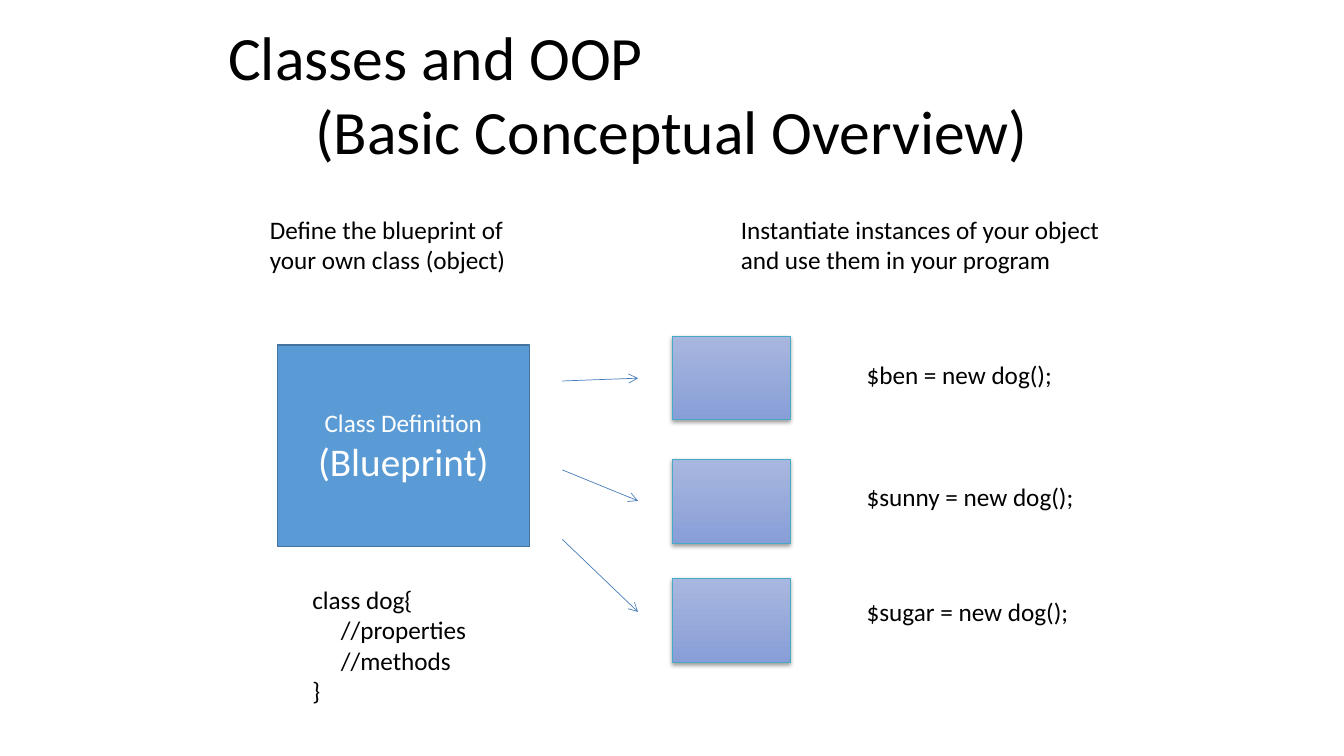
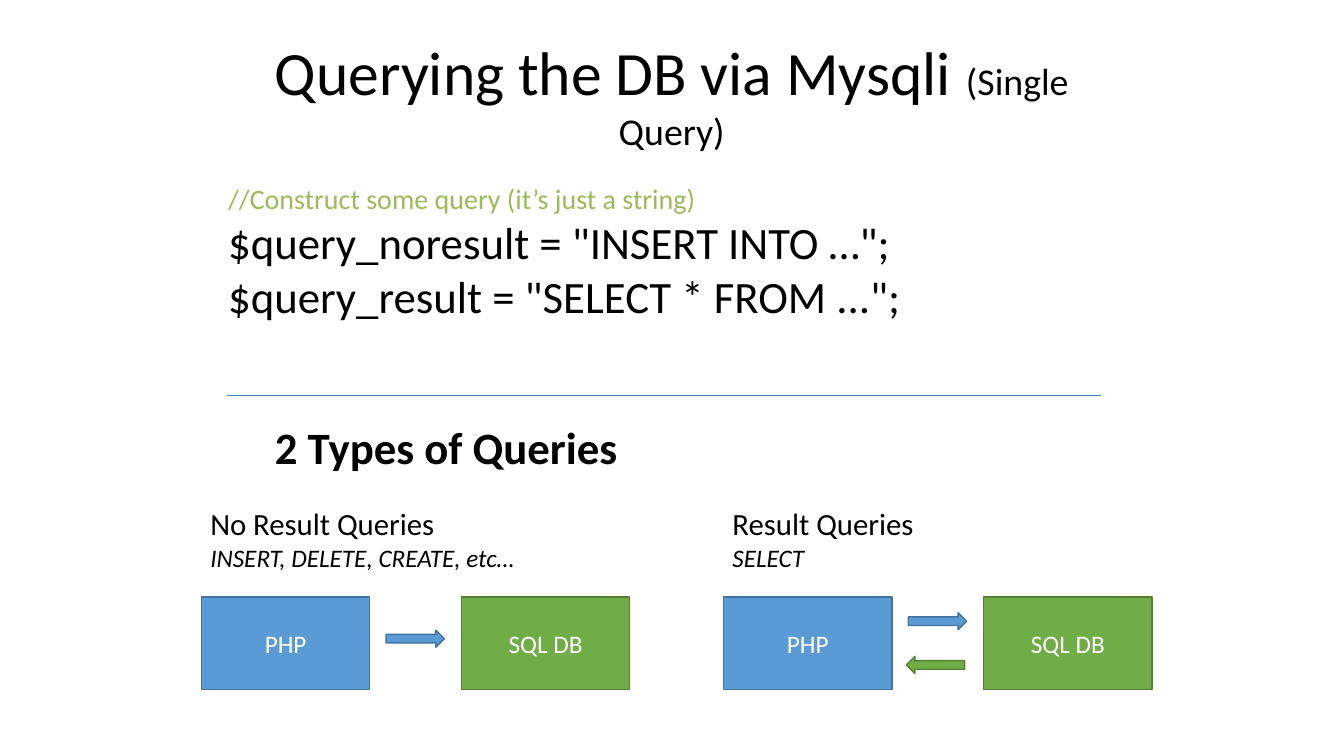
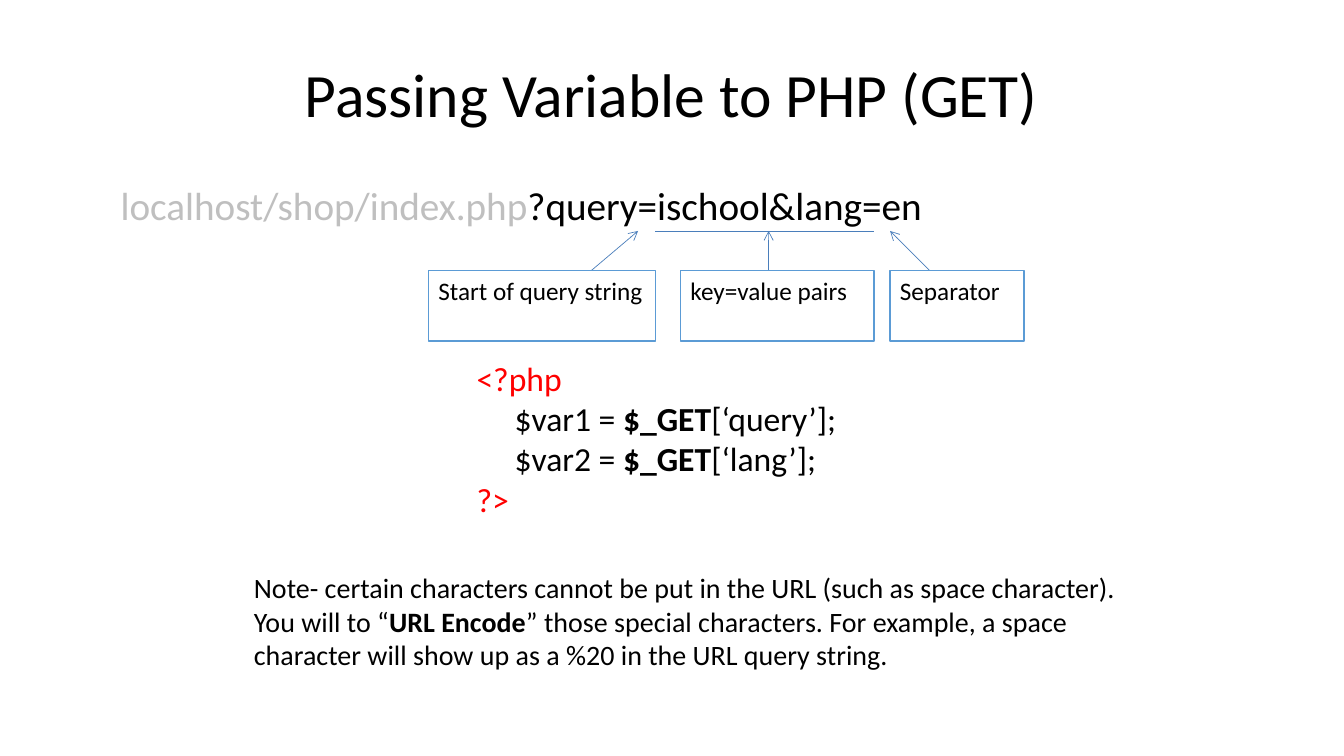
from dataclasses import dataclass

from lxml import etree
from pptx import Presentation
from pptx.dml.color import RGBColor
from pptx.enum import shapes, text
from pptx.oxml import ns
from pptx.util import Cm, Pt

INK = {
    "black": "000000", "white": "FFFFFF", "red": "FF0000", "gray": "BFBFBF",
    "note": "9BBB59", "blue": "5B9BD5", "navy": "43739E", "green": "70AD47",
    "moss": "538035", "link": "4A7EBB", "teal": "46AAC4",
    "pale": "A8B7DF", "deep": "889ED7",
}
FACE = "Calibri"
KIND = shapes.MSO_SHAPE
LEFT, MID = text.PP_ALIGN.LEFT, text.PP_ALIGN.CENTER


@dataclass
class Line:
    """One paragraph; a run is a string, or a string with its own font settings."""
    runs: tuple
    size: int = 18
    ink: str = "black"
    bold: bool = False
    ital: bool = False
    align: int = LEFT
    indent: float = 0


def color(name):
    return RGBColor.from_string(INK[name])


def style(font, size=None, ink=None, bold=None, ital=None):
    if size:
        font.size = Pt(size)
    if ink:
        font.color.rgb = color(ink)
    if bold is not None:
        font.bold = bold
    if ital is not None:
        font.italic = ital


def write(frame, lines, anchor=text.MSO_ANCHOR.TOP):
    frame.word_wrap = True
    frame.vertical_anchor = anchor
    for i, line in enumerate(lines):
        par = frame.add_paragraph() if i else frame.paragraphs[0]
        par.alignment = line.align
        par.font.name = FACE
        style(par.font, line.size, line.ink, line.bold, line.ital)
        if line.indent:
            par._p.get_or_add_pPr().set("marL", str(Cm(line.indent)))
        for item in line.runs:
            words, own = (item, {}) if isinstance(item, str) else item
            run = par.add_run()
            run.text = words
            style(run.font, **own)


def label(slide, at, *lines, anchor=text.MSO_ANCHOR.TOP):
    box = slide.shapes.add_textbox(*map(Cm, at))
    write(box.text_frame, lines, anchor)


def title(slide, *lines):
    label(slide, (5.5, 0.76, 22.86, 3.18), *lines, anchor=text.MSO_ANCHOR.MIDDLE)


def shape(slide, at, fill, edge, kind=KIND.RECTANGLE, width=1):
    item = slide.shapes.add_shape(kind, *map(Cm, at))
    item.shadow.inherit = False
    item.fill.solid()
    item.fill.fore_color.rgb = color(fill)
    item.line.color.rgb = color(edge)
    item.line.width = Pt(width)
    return item


def block(slide, at, fill, edge, *lines):
    item = shape(slide, at, fill, edge)
    write(item.text_frame, lines, text.MSO_ANCHOR.MIDDLE)


def tag(slide, at, words):
    item = shape(slide, at, "white", "blue")
    write(item.text_frame, [Line((words,))])


def tile(slide, at):
    """Shaded square with a soft drop shadow."""
    item = shape(slide, at, "pale", "teal", width=0.5)
    item.fill.gradient()
    item.fill.gradient_angle = 270
    for stop, name in zip(item.fill.gradient_stops, ("pale", "deep")):
        stop.color.rgb = color(name)
    effects = item._element.spPr.find(ns.qn("a:effectLst"))
    cast = etree.SubElement(effects, ns.qn("a:outerShdw"), blurRad="40000",
                            dist="20000", dir="5400000", rotWithShape="0")
    tint = etree.SubElement(cast, ns.qn("a:srgbClr"), val=INK["black"])
    etree.SubElement(tint, ns.qn("a:alpha"), val="38000")


def rule(slide, start, end, arrow=False):
    item = slide.shapes.add_connector(shapes.MSO_CONNECTOR.STRAIGHT,
                                      *map(Cm, start + end))
    item.line.color.rgb = color("link")
    item.line.width = Pt(0.5)
    if arrow:
        stroke = item.line._get_or_add_ln()
        etree.SubElement(stroke, ns.qn("a:tailEnd"), type="arrow")
    etree.SubElement(item._element.spPr, ns.qn("a:effectLst"))


def classes(slide):
    title(slide, Line(("Classes and OOP",), 44),
          Line(("(Basic Conceptual Overview)",), 44, align=MID))
    block(slide, (6.99, 8.69, 6.35, 5.08), "blue", "navy",
          Line(("Class Definition",), 18, "white", align=MID),
          Line(("(Blueprint)",), 28, "white", align=MID))
    label(slide, (7.62, 14.6, 5.08, 4.06),
          Line(("class dog{",)), Line(("//properties",), indent=0.72),
          Line(("//methods",), indent=0.72), Line(("}",)))
    label(slide, (6.55, 5.28, 7.62, 2.54),
          Line(("Define the blueprint of your own class (object)",)))
    label(slide, (18.42, 5.28, 10.16, 2.54),
          Line(("Instantiate instances of your object and use them in your program",)))
    dogs = (("ben", 8.47, 8.94, 9.6, 9.53),
            ("sunny", 11.58, 12.01, 11.84, 12.62),
            ("sugar", 14.58, 14.91, 13.59, 15.42))
    for name, top, row, start, end in dogs:
        tile(slide, (16.94, top, 2.97, 2.11))
        label(slide, (21.59, row, 6.99, 1.02), Line((f"${name} = new dog();",)))
        rule(slide, (14.17, start), (16.08, end), arrow=True)


def panel(slide, left, head, verbs):
    """Heading above the two ends of one kind of query."""
    label(slide, (left - 0.03, 12.6, 10.8, 1.96),
          Line((head,), 22), Line((verbs,), ital=True))
    ends = (("PHP", "blue", "navy"), ("SQL DB", "green", "moss"))
    for i, (name, fill, edge) in enumerate(ends):
        block(slide, (left + i * 6.55, 15.04, 4.24, 2.34), fill, edge,
              Line((name,), ink="white", align=MID))


def flow(slide, left, top, fill, edge, turn=0):
    item = shape(slide, (left, top, 1.47, 0.43), fill, edge, KIND.RIGHT_ARROW)
    item.rotation = turn


def queries(slide):
    title(slide, Line(("Querying the DB via Mysqli ",
                       ("(Single Query)", {"size": 27})), 44, align=MID))
    label(slide, (5.5, 4.45, 22.86, 5),
          Line(("//Construct some query (it’s just a string)",), 20, "note"),
          Line(('$query_noresult = "INSERT INTO …";',), 32),
          Line(('$query_result = "SELECT * FROM ...";',), 32))
    rule(slide, (5.72, 9.96), (27.74, 9.96))
    label(slide, (6.68, 10.44, 15, 1.78),
          Line(("2 Types of Queries",), 32, bold=True))
    one, two = 5.08, 18.24
    panel(slide, one, "No Result Queries", "INSERT, DELETE, CREATE, etc…")
    panel(slide, two, "Result Queries", "SELECT")
    flow(slide, one + 4.65, 15.88, "blue", "navy")
    flow(slide, two + 4.65, 15.44, "blue", "navy")
    flow(slide, two + 4.6, 16.54, "green", "moss", 180)


def passing(slide):
    title(slide, Line(("Passing Variable to PHP (GET)",), 44, align=MID))
    label(slide, (2.79, 4.45, 28.17, 1.6),
          Line((("localhost/shop/index.php", {"ink": "gray"}),
                "?query=ischool&lang=en"), 28))
    low, high = 6.81, 5.82
    tags = (("Start of query string", 10.8, 5.72, 14.91, 16.08),
            ("key=value pairs", 17.15, 4.88, 19.37, 19.37),
            ("Separator", 22.43, 3.38, 23.42, 22.43))
    for words, left, wide, start, end in tags:
        rule(slide, (start, low), (end, high), arrow=True)
        tag(slide, (left, low, wide, 1.78), words)
    rule(slide, (16.51, high), (22.02, high))
    strong = {"bold": True}
    label(slide, (6.15, 14.25, 22.23, 3.84),
          Line(("Note- certain characters cannot be put in the URL (such as space "
                "character). You will to “", ("URL Encode", strong),
                "” those special characters. For example, a space character "
                "will show up as a %20 in the URL query string."), 20))
    reads = [Line((f"$var{i} = ", ("$_GET", strong), f"[‘{key}’];"), 24, indent=0.96)
             for i, key in enumerate(("query", "lang"), 1)]
    label(slide, (11.76, 8.89, 12.37, 4.5),
          Line(("<?php",), 24, "red"), *reads, Line(("?>",), 24, "red"))


def main():
    deck = Presentation()
    deck.slide_width, deck.slide_height = Cm(33.87), Cm(19.05)
    for draw in (classes, queries, passing):
        draw(deck.slides.add_slide(deck.slide_layouts[6]))
    deck.save("out.pptx")


if __name__ == "__main__":
    main()
